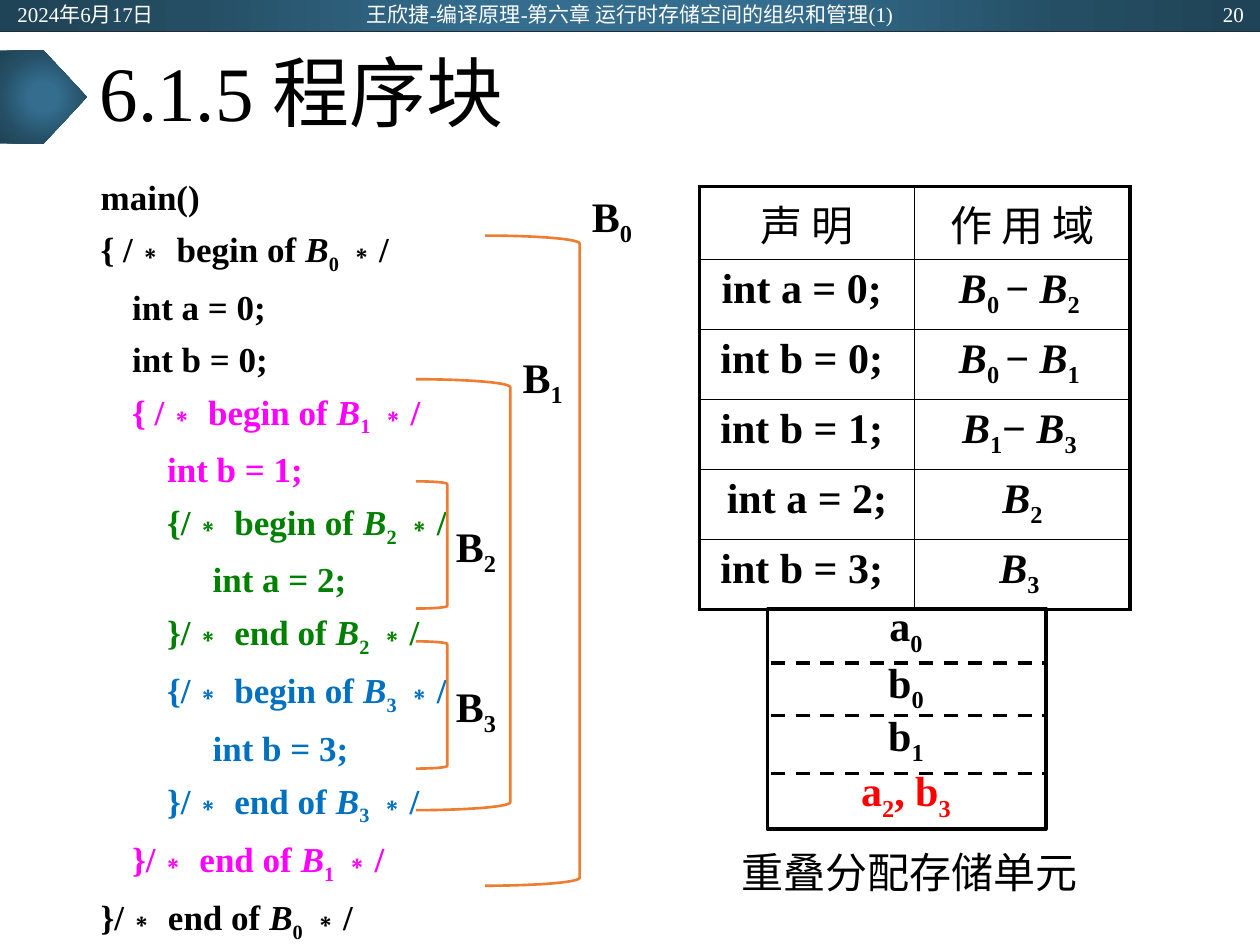
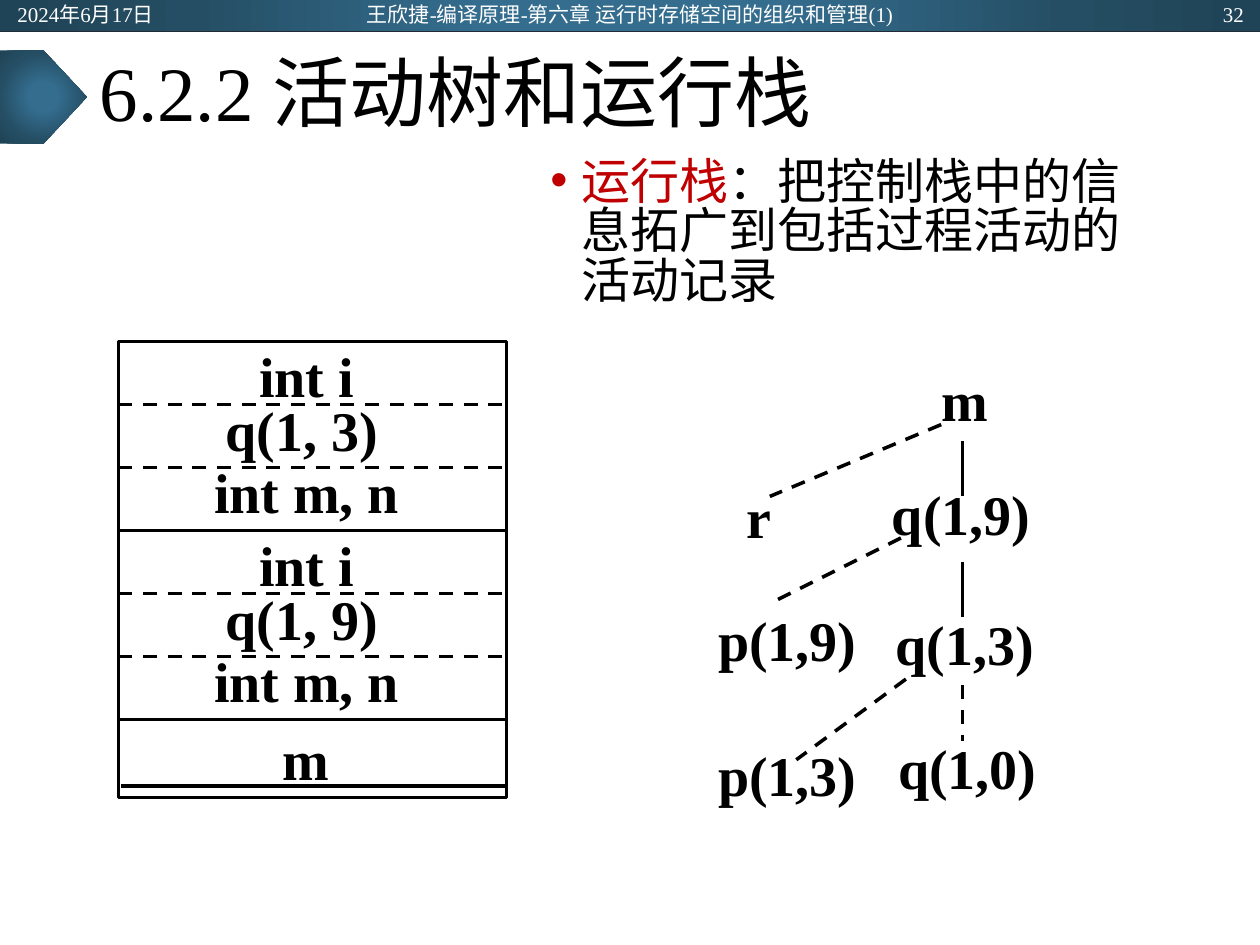
import lxml.etree
import pptx
import pptx.dml.color
import pptx.enum.dml
import pptx.enum.shapes
import pptx.enum.text
import pptx.oxml
import pptx.oxml.ns
import pptx.util

Inches = pptx.util.Inches
Pt = pptx.util.Pt
qn = pptx.oxml.ns.qn
SHAPE = pptx.enum.shapes.MSO_SHAPE
ALIGN = pptx.enum.text.PP_ALIGN
ANCHOR = pptx.enum.text.MSO_ANCHOR

COLORS = {
    "black": "000000", "white": "FFFFFF", "red": "FF0000", "dark red": "C00000",
    "magenta": "FF00FF", "green": "008000", "blue": "0070C0",
    "orange": "ED7D31", "band line": "222A35",
}
BAND_STOPS = [(0, "346D8E"), (23, "346D8E"), (69, "254E64"), (97, "204457")]
LATIN = "Times New Roman"
CHINESE = "Noto Sans CJK SC"
DATE = "2024年6月17日"
COURSE = "王欣捷-编译原理-第六章 运行时存储空间的组织和管理(1)"

CODE = [
    ("main()", "black"),
    ("{ /∗ begin of |*B|_0 |∗/", "black"),
    ("\tint a = 0;", "black"),
    ("\tint b = 0;", "black"),
    ("\t{ /∗ begin of |*B|_1 |∗/", "magenta"),
    ("\t    int b = 1;", "magenta"),
    ("\t    {/∗ begin of |*B|_2 |∗/", "green"),
    ("\t\t  int a = 2;", "green"),
    ("\t    }/∗ end of |*B|_2 |∗/", "green"),
    ("\t    {/∗ begin of |*B|_3 |∗/", "blue"),
    ("\t\t  int b = 3;", "blue"),
    ("\t    }/∗ end of |*B|_3 |∗/", "blue"),
    ("\t}/∗ end of |*B|_1 |∗/", "magenta"),
    ("}/∗ end of |*B|_0 |∗/", "black"),
]
SCOPES = [
    ("声 明", "作 用 域"),
    ("int a = 0; ", "*B|_0 |− |*B|_2 "),
    ("int b = 0; ", "*B|_0 |− |*B|_1 "),
    ("int b = 1; ", "*B|_1|− |*B|_3 "),
    ("int a = 2;", "*B|_2"),
    ("int b = 3; ", "*B|_3 "),
]
BLOCKS = [
    ("B|_2", (3.3, 3.82, 0.25, 1.01), (3.52, 4.08)),
    ("B|_3", (3.3, 5.09, 0.25, 1.01), (3.52, 5.35)),
    ("B|_1", (3.3, 3.01, 0.75, 3.42), (4.05, 2.74)),
    ("B|_0", (3.85, 1.87, 0.75, 5.16), (4.6, 1.46)),
]
STORAGE = [("a|_0", 4.67, "black"), ("b|_0", 5.12, "black"),
           ("b|_1", 5.54, "black"), ("a|_2|, b|_3", 5.98, "red")]
CALLS = [("m", 7.37, 2.85), ("q(1,9)", 6.98, 3.76), ("r", 5.83, 3.78),
         ("p(1,9)", 5.6, 4.76), ("q(1,3)", 7.01, 4.79),
         ("q(1,0)", 7.03, 5.77), ("p(1,3)", 5.6, 5.83)]
BRANCHES = [
    ((7.64, 3.5), (7.64, 3.94), False),
    ((7.47, 3.37), (6.11, 3.94), True),
    ((7.15, 4.27), (6.11, 4.79), True),
    ((7.64, 4.46), (7.64, 4.9), False),
    ((7.64, 5.44), (7.64, 5.88), True),
    ((7.19, 5.39), (6.32, 6.03), True),
]


def rgb(color):
    return pptx.dml.color.RGBColor.from_string(COLORS[color])


def inches(values):
    return [Inches(value) for value in values]


def write(paragraph, text, size, color="black", bold=True, align=ALIGN.LEFT, latin=LATIN):
    """Fills a paragraph; '|' parts runs, '*' leads italics and '_' a subscript."""
    paragraph.alignment = align
    font = paragraph.font
    font.size, font.bold, font.name = Pt(size), bold, latin
    font.color.rgb = rgb(color)
    defaults = paragraph._p.pPr.find(qn("a:defRPr"))
    lxml.etree.SubElement(defaults, qn("a:ea"), typeface=CHINESE)
    for part in text.split("|"):
        run = paragraph.add_run()
        run.text = part.lstrip("*_")
        if part.startswith("*"):
            run.font.italic = True
        elif part.startswith("_"):
            run.font._element.set("baseline", "-25000")


def add_text(slide, box, text, size, wrap=True, anchor=ANCHOR.TOP, inset=0.05, **style):
    frame = slide.shapes.add_textbox(*inches(box)).text_frame
    frame.word_wrap = wrap
    frame.vertical_anchor = anchor
    frame.margin_top = Inches(inset)
    write(frame.paragraphs[0], text, size, **style)
    return frame


def add_outline(slide, kind, box, color="black", width=2):
    shape = slide.shapes.add_shape(kind, *inches(box))
    shape.shadow.inherit = False
    shape.fill.background()
    shape.line.color.rgb = rgb(color)
    shape.line.width = Pt(width)


def add_line(slide, start, end, dashed=False, color="black", width=2):
    line = slide.shapes.add_connector(
        pptx.enum.shapes.MSO_CONNECTOR.STRAIGHT, *inches(start + end))
    line.line.color.rgb = rgb(color)
    line.line.width = Pt(width)
    if dashed:
        line.line.dash_style = pptx.enum.dml.MSO_LINE.DASH
    lxml.etree.SubElement(line._element.spPr, qn("a:effectLst"))


def add_gradient_shape(slide, kind, box):
    shape = slide.shapes.add_shape(kind, *inches(box))
    shape.line.fill.background()
    shape.shadow.inherit = False
    stops = "".join(
        f'<a:gs pos="{position * 1000}"><a:srgbClr val="{color}"/></a:gs>'
        for position, color in BAND_STOPS)
    gradient = pptx.oxml.parse_xml(
        f'<a:gradFill {pptx.oxml.ns.nsdecls("a")}><a:gsLst>{stops}</a:gsLst>'
        '<a:path path="circle"><a:fillToRect l="50000" t="50000" r="50000" b="50000"/>'
        '</a:path></a:gradFill>')
    shape._element.spPr.find(qn("a:prstGeom")).addnext(gradient)


def add_slide(presentation, heading, number):
    slide = presentation.slides.add_slide(presentation.slide_layouts[5])
    add_gradient_shape(slide, SHAPE.RECTANGLE, (0, 0, 10, 0.25))
    add_line(slide, (0, 0.25), (10, 0.25), color="band line", width=0.5)
    add_gradient_shape(slide, SHAPE.PENTAGON, (0, 0.4, 0.69, 0.74))
    title = slide.shapes.title
    title.left, title.top, title.width, title.height = inches((0.69, 0.25, 8.62, 1.04))
    title.text_frame.vertical_anchor = ANCHOR.MIDDLE
    paragraph = title.text_frame.paragraphs[0]
    paragraph.line_spacing = 0.9
    write(paragraph, heading, 44, bold=False)
    for text, left, width, align in [(DATE, 0.04, 2.25, ALIGN.LEFT),
                                     (COURSE, 2.58, 4.84, ALIGN.CENTER),
                                     (str(number), 7.72, 2.25, ALIGN.RIGHT)]:
        add_text(slide, (left, 0.01, width, 0.2), text, 12, anchor=ANCHOR.MIDDLE,
                 color="white", bold=False, align=align)
    return slide


def add_code(slide):
    frame = slide.shapes.add_textbox(*inches((0.7, 1.31, 4.25, 5.36))).text_frame
    frame.word_wrap = True
    for index, (text, color) in enumerate(CODE):
        paragraph = frame.add_paragraph() if index else frame.paragraphs[0]
        properties = paragraph._p.get_or_add_pPr()
        properties.set("marL", str(Inches(0.25)))
        properties.set("indent", str(Inches(-0.25)))
        paragraph.line_spacing = 1.1
        paragraph.space_before = Pt(3.3 if index else 0)
        write(paragraph, text, 20, color, align=ALIGN.JUSTIFY)


def set_borders(cell, widths):
    properties = cell._tc.get_or_add_tcPr()
    for index, (side, width) in enumerate(widths.items()):
        border = pptx.oxml.parse_xml(
            f'<a:{side} {pptx.oxml.ns.nsdecls("a")} w="{Pt(width)}"><a:solidFill>'
            f'<a:srgbClr val="{COLORS["black"]}"/></a:solidFill></a:{side}>')
        properties.insert(index, border)


def add_scope_table(slide):
    last = len(SCOPES) - 1
    table = slide.shapes.add_table(
        len(SCOPES), 2, *inches((5.55, 1.48, 3.42, 3.28))).table
    for row, texts in enumerate(SCOPES):
        table.rows[row].height = Inches(0.54 if row else 0.58)
        for column, text in enumerate(texts):
            cell = table.cell(row, column)
            cell.fill.background()
            write(cell.text_frame.paragraphs[0], text, 24, bold=row > 0,
                  align=ALIGN.CENTER, latin=LATIN if row else CHINESE)
            set_borders(cell, {"lnL": 1 if column else 2.25, "lnR": 2.25 if column else 1,
                               "lnT": 1 if row else 2.25, "lnB": 2.25 if row == last else 1})


def add_storage(slide):
    add_outline(slide, SHAPE.RECTANGLE, (6.09, 4.83, 2.21, 1.75))
    for text, top, color in STORAGE:
        add_text(slide, (6.14, top, 2.1, 0.56), text, 24, inset=0.09,
                 color=color, align=ALIGN.CENTER)
    for height in (5.26, 5.68, 6.14):
        add_line(slide, (6.12, height), (8.3, height), dashed=True)
    add_text(slide, (5.09, 6.67, 4.33, 0.58), "重叠分配存储单元 ", 24,
             bold=False, align=ALIGN.CENTER, latin=CHINESE)


def add_block_brackets(slide):
    for name, bracket, (left, top) in BLOCKS:
        add_outline(slide, SHAPE.RIGHT_BRACKET, bracket, "orange", 1.5)
        add_text(slide, (left, top, 0.54, 0.5), name, 24, wrap=False)


def add_run_stack_note(slide):
    frame = slide.shapes.add_textbox(*inches((4.27, 1.22, 5.04, 1.5))).text_frame
    frame.word_wrap = True
    paragraph = frame.paragraphs[0]
    properties = paragraph._p.get_or_add_pPr()
    properties.set("marL", str(Inches(0.25)))
    properties.set("indent", str(Inches(-0.25)))
    paragraph.line_spacing = 0.84
    lxml.etree.SubElement(properties, qn("a:buFont"), typeface="Arial")
    lxml.etree.SubElement(properties, qn("a:buChar"), char="•")
    write(paragraph, "运行栈|：把控制栈中的信息拓广到包括过程活动的活动记录", 28, bold=False)
    paragraph.runs[0].font.color.rgb = rgb("dark red")


def add_activation_record(slide, top, call):
    add_outline(slide, SHAPE.RECTANGLE, (0.94, top, 3.08, 1.5))
    for divider in (top + 0.5, top + 1):
        add_line(slide, (0.94, divider), (3.99, divider), dashed=True)
    for text, left, offset, width in [("int i", 1.96, -0.05, 0.96),
                                      (call, 1.69, 0.38, 1.41),
                                      ("int m, n", 1.6, 0.87, 1.68)]:
        add_text(slide, (left, top + offset, width, 0.64), text, 32, wrap=False)


def add_run_stack(slide):
    add_outline(slide, SHAPE.RECTANGLE, (0.94, 5.71, 3.08, 0.62))
    add_text(slide, (0.96, 5.66, 2.93, 0.77), "m", 32, inset=0.09, align=ALIGN.CENTER)
    add_line(slide, (0.96, 6.24), (4.02, 6.24))
    add_activation_record(slide, 4.21, "q(1, 9)")
    add_activation_record(slide, 2.71, "q(1, 3)")


def add_activation_tree(slide):
    for call, left, top in CALLS:
        add_text(slide, (left, top, 1.41, 0.78), call, 32)
    for start, end, dashed in BRANCHES:
        add_line(slide, start, end, dashed)


def main():
    presentation = pptx.Presentation()
    presentation.slide_width, presentation.slide_height = inches((10, 7.5))
    blocks = add_slide(presentation, "6.1.5 程序块", 20)
    add_storage(blocks)
    add_scope_table(blocks)
    add_code(blocks)
    add_block_brackets(blocks)
    stack = add_slide(presentation, "6.2.2 活动树和运行栈", 32)
    add_run_stack_note(stack)
    add_activation_tree(stack)
    add_run_stack(stack)
    presentation.save("out.pptx")


if __name__ == "__main__":
    main()
